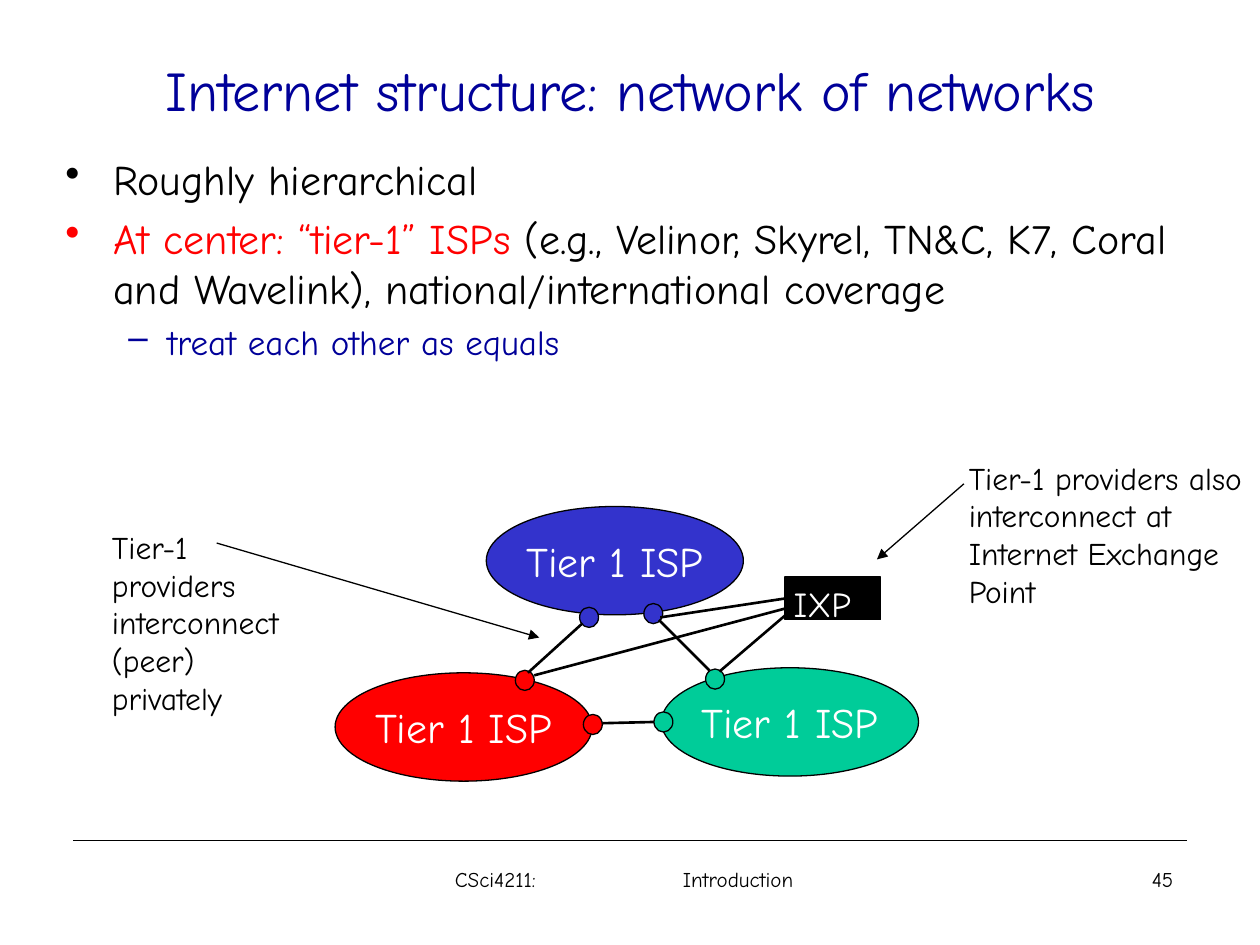
from dataclasses import dataclass

from lxml import etree
from pptx import Presentation
from pptx.dml.color import RGBColor
from pptx.enum.shapes import MSO_CONNECTOR as CONN, MSO_SHAPE as SHAPE
from pptx.enum.text import MSO_ANCHOR as ANCHOR, PP_ALIGN as ALIGN
from pptx.oxml.ns import qn
from pptx.util import Inches, Pt


@dataclass(frozen=True)
class Theme:
    font: str = "Comic Neue"
    black: str = "000000"
    white: str = "FFFFFF"
    navy: str = "000099"
    red: str = "FF0000"
    blue: str = "3333CC"
    green: str = "00CC99"
    title: int = 32
    body: int = 24
    sub: int = 20
    note: int = 18
    foot: int = 12
    thin: float = 0.75
    thick: float = 1.5


T = Theme()

# Content
TITLE = "Internet structure: network of networks"
# Each bullet: marker, size, left margin, hanging indent, [(text, colour)]
BULLETS = [
    ("•", T.body, 0.38, 0.38, [("Roughly hierarchical", T.black)]),
    ("•", T.body, 0.38, 0.38, [
        ("At center: “tier-1” ISPs ", T.red),
        ("(e.g., Velinor, Skyrel, TN&C, K7, Coral and Wavelink), "
         "national/international coverage", T.black)]),
    ("–", T.sub, 0.81, 0.31, [("treat each other as equals", T.navy)]),
]
ISP_LABEL, ISP_SIZE, ROUTER_SIZE = "Tier 1 ISP", (2.04, 0.86), (0.15, 0.16)
# Each ISP: colour, position, positions of its border routers
ISPS = [
    (T.red, (2.66, 5.34), [(4.09, 5.32), (4.63, 5.67)]),
    (T.blue, (3.86, 4.02), [(5.11, 4.79), (4.60, 4.82)]),
    (T.green, (5.25, 5.30), [(5.60, 5.31), (5.19, 5.65)]),
]
PEERINGS = [
    ((4.78, 5.74), (5.19, 5.73)),
    ((5.23, 4.92), (5.63, 5.32)),
    ((4.19, 5.34), (4.62, 4.95)),
]
IXP_BOX = (6.23, 4.58, 0.76, 0.34)
IXP_LINKS = [
    ((6.26, 4.86), (5.71, 5.33)),
    ((6.23, 4.83), (4.24, 5.36)),
]
IXP_MIDDLE_LINK = ((6.23, 4.75), (5.24, 4.90))
# Each note: text, box, arrow start, arrow end
NOTES = [
    ("Tier-1 providers interconnect (peer) privately",
     (0.79, 4.14, 1.71, 1.60), (1.72, 4.31), (4.28, 5.06)),
    ("Tier-1 providers also interconnect at Internet Exchange Point",
     (7.59, 3.59, 2.41, 1.30), (7.65, 3.84), (6.96, 4.44)),
]
FOOTER, PAGE = "CSci4211:\tIntroduction", "45"

prs = Presentation()
prs.slide_width, prs.slide_height = Inches(10), Inches(7.5)
s = prs.slides.add_slide(prs.slide_layouts[6])


def inches(values):
    return [Inches(v) for v in values]


def style(font, size, color):
    font.name, font.size = T.font, Pt(size)
    font.color.rgb = RGBColor.from_string(color)


def add_text(box, text, size, color=T.black, align=ALIGN.LEFT,
             anchor=ANCHOR.TOP, wrap=True):
    sp = s.shapes.add_textbox(*inches(box))
    tf = sp.text_frame
    tf.word_wrap, tf.vertical_anchor = wrap, anchor
    tf.text = text
    p = tf.paragraphs[0]
    p.alignment = align
    for r in p.runs:
        style(r.font, size, color)
    return tf


def add_shape(kind, box, color):
    sp = s.shapes.add_shape(kind, *inches(box))
    sp.shadow.inherit = False
    sp.fill.solid()
    sp.fill.fore_color.rgb = RGBColor.from_string(color)
    sp.line.color.rgb = RGBColor.from_string(T.black)
    sp.line.width = Pt(T.thin)
    return sp


def add_line(start, end, width=T.thick, arrow=False):
    c = s.shapes.add_connector(CONN.STRAIGHT, *inches(start + end))
    c.line.color.rgb = RGBColor.from_string(T.black)
    c.line.width = Pt(width)
    if arrow:
        etree.SubElement(c.line._get_or_add_ln(), qn("a:tailEnd"), type="triangle")
    etree.SubElement(c._element.spPr, qn("a:effectLst"))
    return c


# Title and footer rule
add_line((0.58, 6.67), (9.42, 6.67), T.thin)
add_text((0.58, 0.08, 8.85, 1.25), TITLE, T.title, T.navy,
         ALIGN.CENTER, ANCHOR.MIDDLE)

# Bullets
tf = s.shapes.add_textbox(*inches((0.42, 1.17, 9.23, 5.31))).text_frame
tf.word_wrap = True
for i, (marker, size, margin, hang, parts) in enumerate(BULLETS):
    p = tf.add_paragraph() if i else tf.paragraphs[0]
    p.space_before = Pt(0.2 * size if i else 0)
    pPr = p._p.get_or_add_pPr()
    pPr.set("marL", str(Inches(margin)))
    pPr.set("indent", str(-Inches(hang)))
    etree.SubElement(pPr, qn("a:buChar"), char=marker)
    for text, color in parts:
        r = p.add_run()
        r.text = text
        style(r.font, size, color)

# ISP clouds, then their routers on top
for color, pos, _ in ISPS:
    tf = add_shape(SHAPE.OVAL, pos + ISP_SIZE, color).text_frame
    tf.text, tf.word_wrap, tf.vertical_anchor = ISP_LABEL, False, ANCHOR.MIDDLE
    tf.paragraphs[0].alignment = ALIGN.CENTER
    style(tf.paragraphs[0].runs[0].font, T.body, T.white)
for color, _, routers in ISPS:
    for pos in routers:
        add_shape(SHAPE.OVAL, pos + ROUTER_SIZE, color)

# Exchange point and links
ixp = add_shape(SHAPE.RECTANGLE, IXP_BOX, T.black)
add_text((6.20, 4.57, 0.70, 0.43), "IXP", T.sub, T.white, wrap=False)
for start, end in PEERINGS + IXP_LINKS:
    add_line(start, end)
add_line(*IXP_MIDDLE_LINK).begin_connect(ixp, 1)

# Notes with arrows
for text, box, start, end in NOTES:
    add_text(box, text, T.note)
    add_line(start, end, T.thin, arrow=True)

# Footer
tf = add_text((3.33, 6.83, 3.25, 0.5), FOOTER, T.foot)
tf.margin_left = Inches(0.28)
tabs = etree.SubElement(tf.paragraphs[0]._p.get_or_add_pPr(), qn("a:tabLst"))
etree.SubElement(tabs, qn("a:tab"), pos=str(Inches(1.81)), algn="l")
add_text((7.33, 6.83, 2.08, 0.5), PAGE, T.foot, align=ALIGN.RIGHT)

prs.save("out.pptx")
